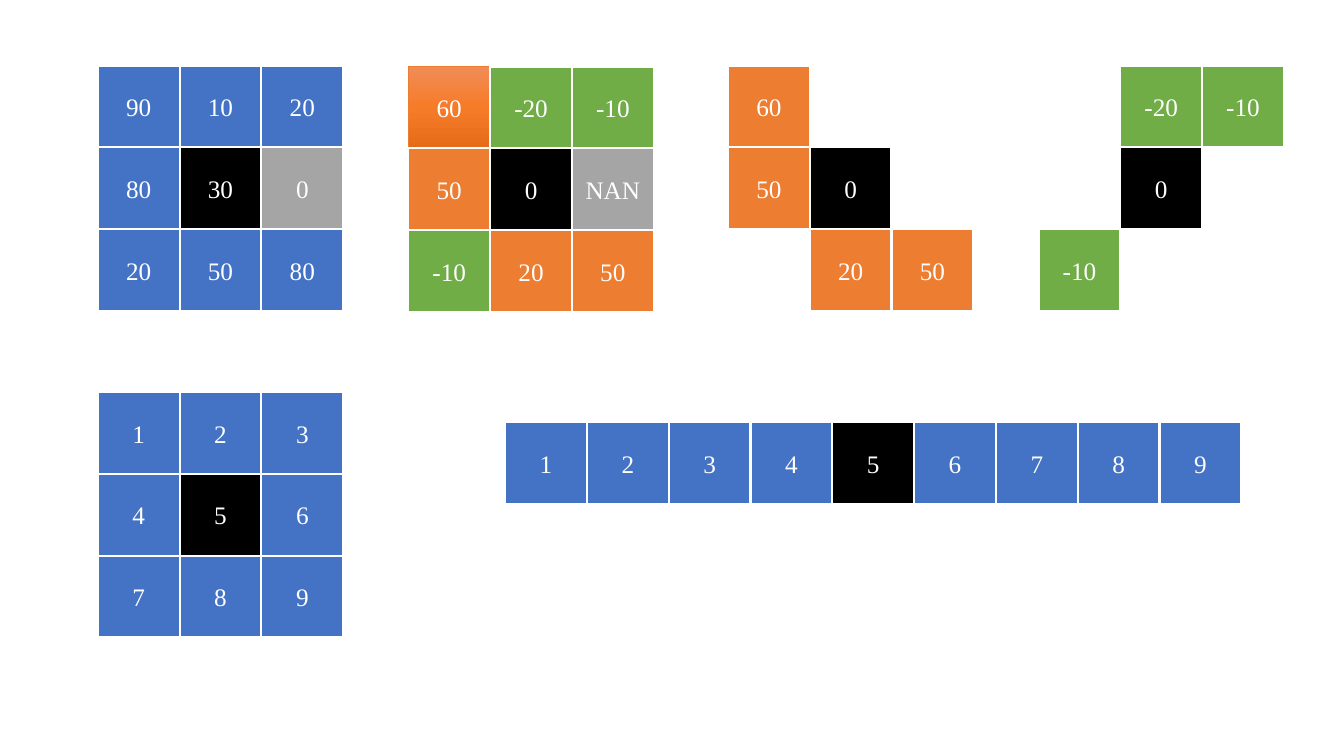
import copy

import pptx
import pptx.dml.color
import pptx.enum.shapes
import pptx.enum.text
import pptx.util

Inches = pptx.util.Inches
Pt = pptx.util.Pt
RGBColor = pptx.dml.color.RGBColor

WHITE = RGBColor(0xFF, 0xFF, 0xFF)
BLUE = RGBColor(0x44, 0x72, 0xC4)
BLACK = RGBColor(0x00, 0x00, 0x00)
GREY = RGBColor(0xA5, 0xA5, 0xA5)
ORANGE = RGBColor(0xED, 0x7D, 0x31)
GREEN = RGBColor(0x70, 0xAD, 0x47)
ORANGE_SHADES = [
    (0, RGBColor(0xF1, 0x8C, 0x57)),
    (0.5, RGBColor(0xF6, 0x7B, 0x28)),
    (1, RGBColor(0xE5, 0x6C, 0x19)),
]

FONT = "Times New Roman"
CELL = 6.49 / 8  # eight steps span the nine-cell row

# Each grid: left, top, rows of values, rows of fill letters ("." is an empty place)
FILLS = {"b": BLUE, "k": BLACK, "a": GREY, "o": ORANGE, "g": GREEN, "s": ORANGE_SHADES}
GRIDS = [
    (0.97, 0.65, ["90 10 20", "80 30 0", "20 50 80"], ["bbb", "bka", "bbb"]),
    (4.05, 0.66, ["60 -20 -10", "50 0 NAN", "-10 20 50"], ["sgg", "oka", "goo"]),
    (7.22, 0.65, ["60 . .", "50 0 .", ". 20 50"], ["o..", "ok.", ".oo"]),
    (10.3, 0.65, [". -20 -10", ". 0 .", "-10 . ."], [".gg", ".k.", "g.."]),
    (0.97, 3.89, ["1 2 3", "4 5 6", "7 8 9"], ["bbb", "bkb", "bbb"]),
    (5.01, 4.19, ["1 2 3 4 5 6 7 8 9"], ["bbbbkbbbb"]),
]


def shade(cell, shades):
    """Fill a cell from top to bottom with the given (position, colour) stops."""
    cell.fill.gradient()
    cell.fill.gradient_angle = 270
    stop_list = cell.element.xpath(".//a:gsLst")[0]
    while len(stop_list) < len(shades):
        stop_list.append(copy.deepcopy(stop_list[-1]))
    for stop, (position, colour) in zip(cell.fill.gradient_stops, shades):
        stop.position = position
        stop.color.rgb = colour


def add_cell(group, left, top, value, fill):
    cell = group.shapes.add_shape(
        pptx.enum.shapes.MSO_SHAPE.RECTANGLE,
        Inches(left), Inches(top), Inches(CELL), Inches(CELL))
    cell.shadow.inherit = False
    if fill is ORANGE_SHADES:
        shade(cell, fill)
        cell.line.color.rgb = ORANGE
        cell.line.width = Pt(0.5)
    else:
        cell.fill.solid()
        cell.fill.fore_color.rgb = fill
        cell.line.color.rgb = WHITE
        cell.line.width = Pt(1.5)

    frame = cell.text_frame
    frame.text = value
    frame.vertical_anchor = pptx.enum.text.MSO_ANCHOR.MIDDLE
    label = frame.paragraphs[0]
    label.alignment = pptx.enum.text.PP_ALIGN.CENTER
    font = label.runs[0].font
    font.name = FONT
    font.size = Pt(18)
    font.color.rgb = WHITE


def add_grid(slide, left, top, values, fills):
    group = slide.shapes.add_group_shape()
    for row, (row_values, row_fills) in enumerate(zip(values, fills)):
        for column, (value, fill) in enumerate(zip(row_values.split(), row_fills)):
            if fill != ".":
                add_cell(group, left + column * CELL, top + row * CELL, value, FILLS[fill])


def main():
    deck = pptx.Presentation()
    deck.slide_width = Inches(13.33)
    deck.slide_height = Inches(7.5)
    slide = deck.slides.add_slide(deck.slide_layouts[6])
    for grid in GRIDS:
        add_grid(slide, *grid)
    deck.save("out.pptx")


if __name__ == "__main__":
    main()
